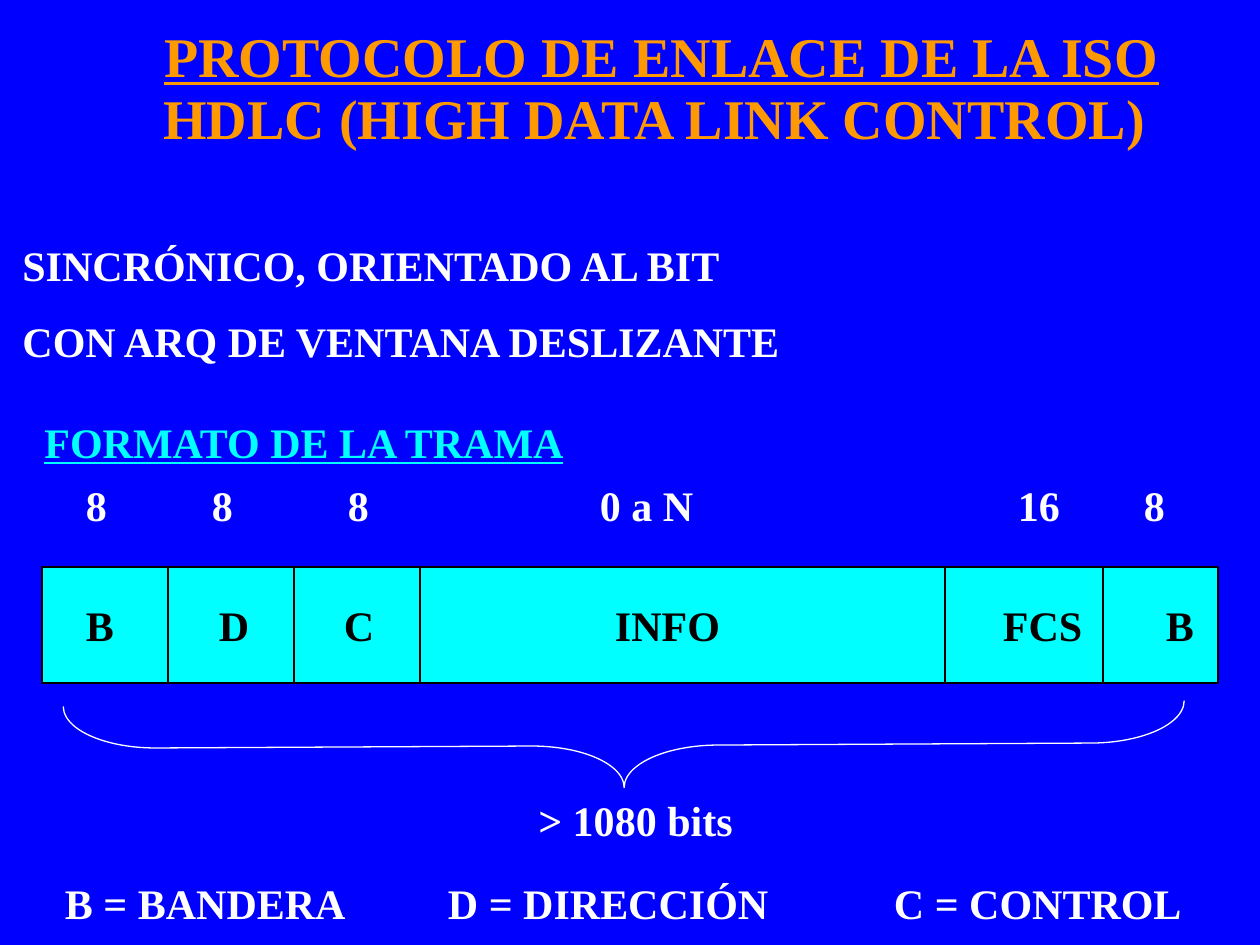
from lxml import etree
from pptx import Presentation
from pptx.dml.color import RGBColor
from pptx.enum.shapes import MSO_CONNECTOR, MSO_SHAPE
from pptx.enum.text import MSO_ANCHOR, PP_ALIGN
from pptx.oxml.ns import qn
from pptx.util import Pt

PX = 914400 // 126
FONT = "Times New Roman"
TOP, MIDDLE = MSO_ANCHOR.TOP, MSO_ANCHOR.MIDDLE
LEFT, CENTER = PP_ALIGN.LEFT, PP_ALIGN.CENTER
COLORS = {"background": "0000FF", "title": "FF9900", "text": "FFFFFF",
          "accent": "00FFFF", "ink": "000000"}

# Content: boxes are left, top, width, height in px
TITLE = ["PROTOCOLO DE ENLACE DE LA ISO", "HDLC (HIGH DATA LINK CONTROL) "]
TITLE_BOX = (63, 10, 1197, 135)
FEATURES = ["SINCRÓNICO, ORIENTADO AL BIT", "CON ARQ DE VENTANA DESLIZANTE"]
FEATURES_BOX = (10, 233, 1218, 140)
HEADING, HEADING_BOX = "FORMATO DE LA TRAMA", (32, 410, 840, 63)
TOTAL, TOTAL_BOX = "> 1080 bits", (462, 788, 347, 63)

# Rows of words, each with its left edge in px
BITS = [("8", 86), ("8", 212), ("8", 348), ("0 a N", 600), ("16", 1018), ("8", 1144)]
BITS_BOX = (32, 473, 1187, 63)
FIELDS = [("B", 86), ("D", 219), ("C", 344), ("INFO", 615), ("FCS", 1003), ("B", 1166)]
FRAME_BOX = (42, 567, 1176, 116)
DIVIDERS = [168, 294, 420, 945, 1103]
LEGEND = [("B = BANDERA", 65), ("D = DIRECCIÓN", 448), ("C = CONTROL", 894)]
LEGEND_BOX = (53, 871, 1207, 53)
BRACE_BOX = (582, 185, 84, 1121)


def rgb(name):
    return RGBColor.from_string(COLORS[name])


def emu(box):
    return [value * PX for value in box]


def write(shape, lines, color, size=24, align=LEFT, underline=False,
          anchor=TOP, gap=0):
    frame = shape.text_frame
    frame.word_wrap = True
    frame.vertical_anchor = anchor
    frame.text = "\n".join(lines)
    for index, paragraph in enumerate(frame.paragraphs):
        paragraph.alignment = align
        paragraph.space_before = Pt(gap if index else 0)
        font = paragraph.font
        font.name, font.size, font.bold = FONT, Pt(size), True
        font.underline = underline
        font.color.rgb = rgb(color)


def add_text(slide, box, lines, color="text", **options):
    shape = slide.shapes.add_textbox(*emu(box))
    write(shape, lines, color, **options)
    return shape


def set_tabs(shape, row, box):
    """Start the row at its first word and put a tab stop at each other word."""
    start = row[0][1]
    shape.text_frame.margin_left = (start - box[0]) * PX
    properties = shape.text_frame.paragraphs[0]._p.get_or_add_pPr()
    tabs = etree.Element(qn("a:tabLst"))
    for _, left in row[1:]:
        etree.SubElement(tabs, qn("a:tab"), pos=str((left - start) * PX), algn="l")
    # Tab stops come before the default run properties
    properties.find(qn("a:defRPr")).addprevious(tabs)


def words(row):
    return ["\t".join(word for word, _ in row)]


def style_line(shape, color):
    shape.line.color.rgb = rgb(color)
    shape.line.width = Pt(0.75)


def main():
    presentation = Presentation()
    presentation.slide_width, presentation.slide_height = 1260 * PX, 945 * PX
    slide = presentation.slides.add_slide(presentation.slide_layouts[5])
    slide.background.fill.solid()
    slide.background.fill.fore_color.rgb = rgb("background")

    # Title, underlined on its first line only
    title = slide.shapes.title
    title.left, title.top, title.width, title.height = emu(TITLE_BOX)
    write(title, TITLE, "title", size=32, align=CENTER)
    first, second = title.text_frame.paragraphs
    first.runs[0].font.underline = True
    second.line_spacing = 0.96
    title.text_frame.margin_top = 11 * PX

    # Features and heading
    add_text(slide, FEATURES_BOX, FEATURES, gap=15)
    add_text(slide, HEADING_BOX, [HEADING], "accent", underline=True)

    # Frame with its fields
    frame = slide.shapes.add_shape(MSO_SHAPE.RECTANGLE, *emu(FRAME_BOX))
    frame.shadow.inherit = False
    frame.fill.solid()
    frame.fill.fore_color.rgb = rgb("accent")
    style_line(frame, "ink")
    write(frame, words(FIELDS), "ink", anchor=MIDDLE)
    set_tabs(frame, FIELDS, FRAME_BOX)
    _, top, _, height = FRAME_BOX
    for x in DIVIDERS:
        divider = slide.shapes.add_connector(
            MSO_CONNECTOR.STRAIGHT, *emu((x, top, x, top + height)))
        etree.SubElement(divider._element.spPr, qn("a:effectLst"))
        style_line(divider, "ink")

    # Bit counts and legend
    for row, box in ((BITS, BITS_BOX), (LEGEND, LEGEND_BOX)):
        set_tabs(add_text(slide, box, words(row)), row, box)

    # Brace under the frame and its total
    brace = slide.shapes.add_shape(MSO_SHAPE.LEFT_BRACE, *emu(BRACE_BOX))
    brace.shadow.inherit = False
    brace.rotation = 269.7
    brace.adjustments[0] = 1.11
    brace.fill.background()
    style_line(brace, "text")
    add_text(slide, TOTAL_BOX, [TOTAL], align=CENTER)

    presentation.save("out.pptx")


if __name__ == "__main__":
    main()
